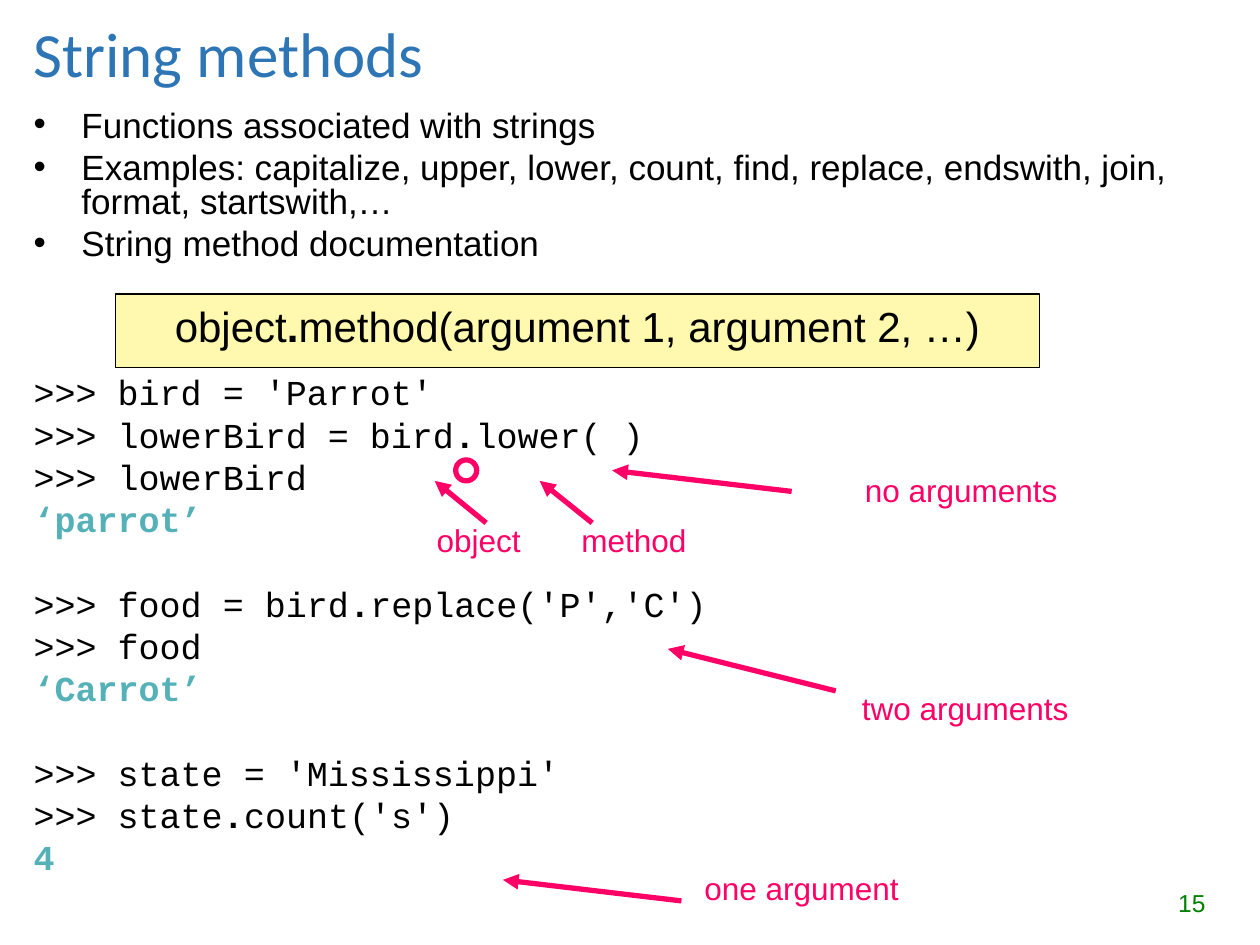
from pptx import Presentation
from pptx.dml.color import RGBColor as RGB
from pptx.enum.shapes import MSO_CONNECTOR as CONN, MSO_SHAPE as SHAPE
from pptx.enum.text import MSO_ANCHOR as ANCHOR, MSO_AUTO_SIZE as FIT, PP_ALIGN as ALIGN
from pptx.oxml.ns import qn
from pptx.util import Inches, Pt
from lxml.etree import SubElement

COLORS = {"title": "2E75B6", "text": "000000", "output": "54B1B8", "accent": "FF0066",
          "formula": "FFF9AF", "number": "008000"}

prs = Presentation()
prs.slide_width, prs.slide_height = Inches(10), Inches(7.5)
slide = prs.slides.add_slide(prs.slide_layouts[1])
shapes = slide.shapes
COLS, ROWS = 60, 45


def grid(*values):
    steps = (prs.slide_width / COLS, prs.slide_height / ROWS)
    return [round(v * steps[i % 2]) for i, v in enumerate(values)]


def write(p, text, color, size, name="Arial", bold=False, **layout):
    for key, value in layout.items():
        setattr(p, key, value)
    for part in filter(None, text.partition(".")):
        r = p.add_run()
        r.text = part
        fmt = {"size": Pt(size), "name": name, "bold": bold or part == "."}
        for key, value in fmt.items():
            setattr(r.font, key, value)
        r.font.color.rgb = RGB.from_string(COLORS[color])


title, body = shapes.title, slide.placeholders[1]
for s, box, anchor in ((title, (1, 1, 52.5, 3), ANCHOR.MIDDLE),
                       (body, (1, 5, 57, 39), ANCHOR.TOP)):
    s.left, s.top, s.width, s.height = grid(*box)
    s.text_frame.auto_size = FIT.NONE
    s.text_frame.vertical_anchor = anchor
write(title.text_frame.paragraphs[0], "String methods", "title", 36, "Calibri",
      alignment=ALIGN.LEFT)

bullets = [
    "Functions associated with strings",
    "Examples: capitalize, upper, lower, count, find, replace, endswith, join, "
    "format, startswith,…",
    "String method documentation",
]
sessions = [
    (66, [">>> bird = 'Parrot'", ">>> lowerBird = bird.lower( )", ">>> lowerBird", "‘parrot’"]),
    (29, [">>> food = bird.replace('P','C')", ">>> food", "‘Carrot’"]),
    (29, [">>> state = 'Mississippi'", ">>> state.count('s')", "4"]),
]
lines = [(text, 5 if i else 0, "Arial") for i, text in enumerate(bullets)]
for gap, code in sessions:
    lines += [(text, 5 if i else gap, "Courier New") for i, text in enumerate(code)]

tf = body.text_frame
for i, (text, before, name) in enumerate(lines):
    p = tf.add_paragraph() if i else tf.paragraphs[0]
    pPr = p._p.get_or_add_pPr()
    pPr.set("marL", str(Inches(0.38)))
    pPr.set("indent", str(-Inches(0.38)))
    code = name == "Courier New"
    if code:
        SubElement(pPr, qn("a:buNone"))
    output = code and not text.startswith(">>>")
    write(p, text, "output" if output else "text", 20, name, output,
          line_spacing=0.8, space_before=Pt(before))

s = shapes.add_shape(SHAPE.RECTANGLE, *grid(5.5, 14, 44, 3.5))
s.shadow.inherit = False
s.fill.solid()
s.fill.fore_color.rgb = RGB.from_string(COLORS["formula"])
s.line.color.rgb = RGB.from_string(COLORS["text"])
s.line.width = Pt(0.75)
s.text_frame.vertical_anchor = ANCHOR.MIDDLE
write(s.text_frame.paragraphs[0], "object.method(argument 1, argument 2, …)", "text", 24,
      alignment=ALIGN.CENTER, line_spacing=0.8)

arrows = [
    (37.7, 23.4, 29.15, 22.4),
    (39.8, 32.9, 31.8, 30.9),
    (32.45, 42.9, 23.95, 41.9),
    (23.15, 24.9, 20.7, 22.9),
    (28.2, 24.9, 25.7, 22.9),
]
for ends in arrows:
    c = shapes.add_connector(CONN.STRAIGHT, *grid(*ends))
    c.line.color.rgb = RGB.from_string(COLORS["accent"])
    c.line.width = Pt(3)
    SubElement(c.line._get_or_add_ln(), qn("a:tailEnd"), type="triangle")
    SubElement(c._element.spPr, qn("a:effectLst"))

s = shapes.add_shape(SHAPE.OVAL, *grid(21.7, 21.9, 1, 1))
s.shadow.inherit = False
s.fill.background()
s.line.color.rgb = RGB.from_string(COLORS["accent"])
s.line.width = Pt(3)

labels = [
    ("no arguments", 40.6, 22.15, 11.5),
    ("two arguments", 40.45, 32.5, 11.5),
    ("one argument", 32.95, 41.1, 11.5),
    ("object", 20.2, 24.5, 6.5),
    ("method", 27.1, 24.5, 6.5),
]
for text, x, y, width in labels:
    tf = shapes.add_textbox(*grid(x, y, width, 2.4)).text_frame
    tf.word_wrap = True
    write(tf.paragraphs[0], text, "accent", 18)

tf = shapes.add_textbox(*grid(43, 42, 15, 2.1)).text_frame
tf.word_wrap = True
write(tf.paragraphs[0], "15", "number", 14, alignment=ALIGN.RIGHT)

prs.save("out.pptx")
